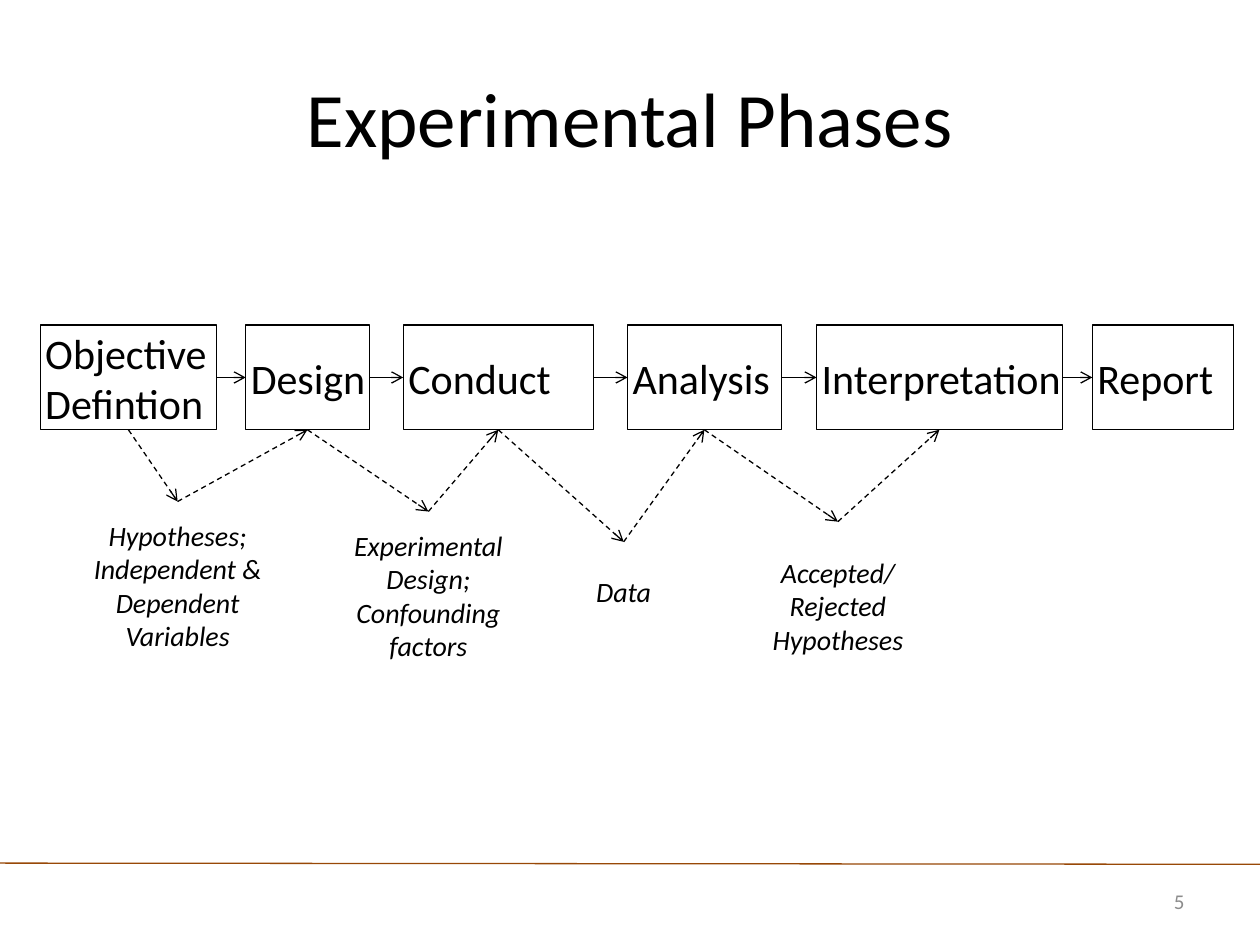
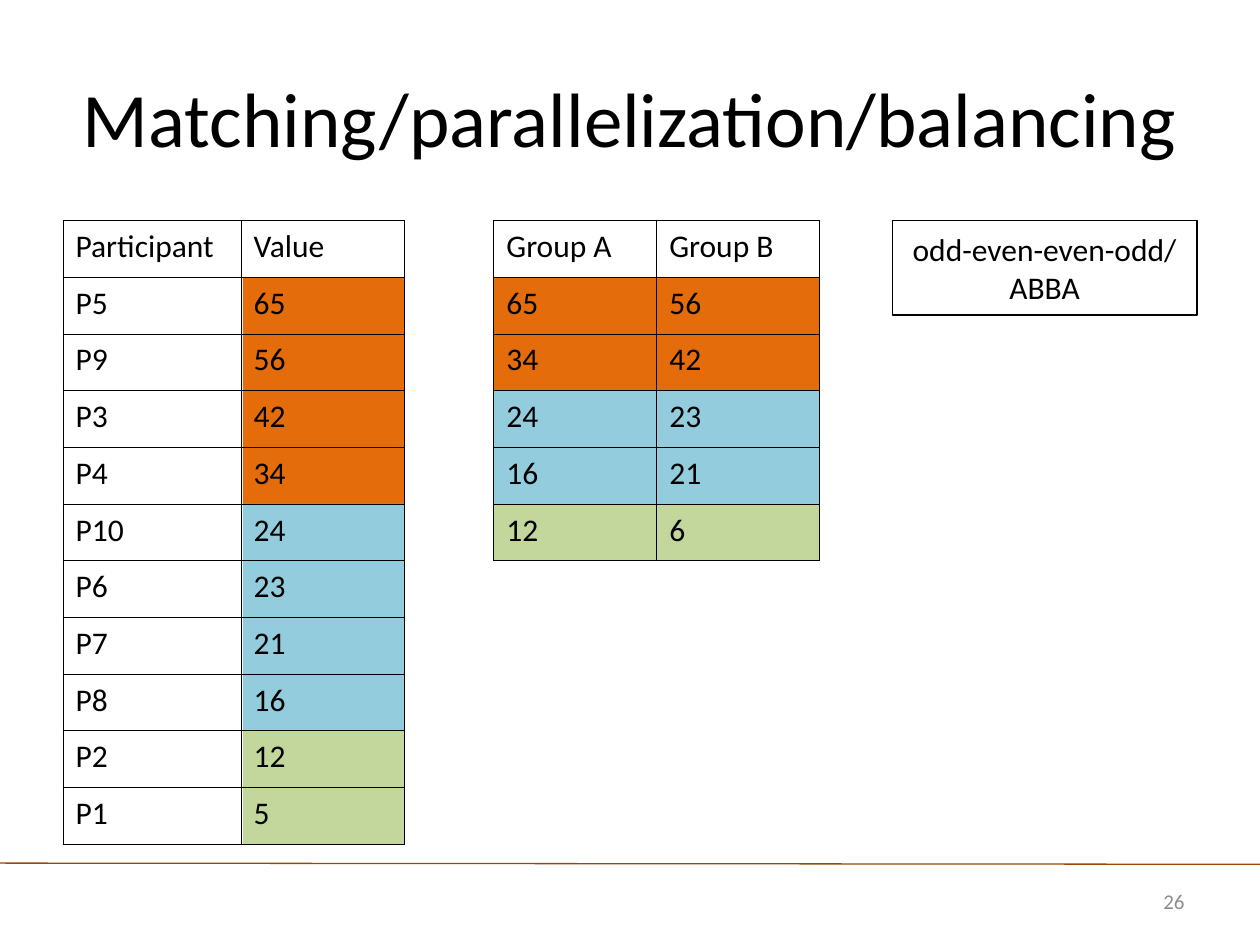
from itertools import pairwise
from lxml.etree import SubElement
from pptx import Presentation
from pptx.dml.color import RGBColor
from pptx.enum.dml import MSO_LINE_DASH_STYLE as Dash
from pptx.enum.shapes import MSO_CONNECTOR as Link, MSO_SHAPE as Shape
from pptx.enum.text import MSO_ANCHOR as Anchor, PP_ALIGN as Align
from pptx.oxml import parse_xml
from pptx.oxml.ns import nsdecls, qn
from pptx.util import Pt

FONT = "Calibri"
BLACK = RGBColor(0x00, 0x00, 0x00)
WHITE = RGBColor(0xFF, 0xFF, 0xFF)
GREY = RGBColor(0x8C, 0x8C, 0x8C)
BROWN = RGBColor(0x98, 0x48, 0x07)
ORANGE = RGBColor(0xE4, 0x6C, 0x0A)
BLUE = RGBColor(0x93, 0xCD, 0xDD)
GREEN = RGBColor(0xC3, 0xD6, 0x9B)

THIN = 0.75
INSET = (7.2, 3.6, 7.2, 3.6)
ROW = 32.4
TABLE_TOP = 126
BOX_TOP, BOX_HIGH = 185.8, 59.8

# Name, left, width
PHASES = [
    ("Objective Defintion", 23, 100.8),
    ("Design", 140.4, 70.6),
    ("Conduct", 230.4, 108.7),
    ("Analysis", 358.6, 87.8),
    ("Interpretation", 466.6, 140.4),
    ("Report", 624.2, 80.6),
]
# Text, centre, top, width, height
NOTES = [
    ("Hypotheses; Independent & Dependent Variables", 101.5, 286.6, 135.4, 95.8),
    ("Experimental Design;\nConfounding factors", 244.8, 292.3, 118, 95.8),
    ("Data", 356.4, 309.6, 72, 56.2),
    ("Accepted/ Rejected Hypotheses", 478.8, 298.1, 113.8, 95.8),
]
VALUES = [
    ("Participant", "Value"), ("P5", "65"), ("P9", "56"), ("P3", "42"),
    ("P4", "34"), ("P10", "24"), ("P6", "23"), ("P7", "21"), ("P8", "16"),
    ("P2", "12"), ("P1", "5"),
]
GROUPS = [
    ("Group A", "Group B"), ("65", "56"), ("34", "42"), ("24", "23"),
    ("16", "21"), ("12", "6"),
]


def write(frame, text, size=18, color=BLACK, align=Align.LEFT, italic=False,
          anchor=Anchor.MIDDLE, inset=INSET, space=1.0):
    """Fill a text frame, one paragraph for each line of text."""
    frame.word_wrap = True
    frame.vertical_anchor = anchor
    (frame.margin_left, frame.margin_top,
     frame.margin_right, frame.margin_bottom) = map(Pt, inset)
    for i, line in enumerate(text.split("\n")):
        para = frame.add_paragraph() if i else frame.paragraphs[0]
        para.alignment = align
        para.line_spacing = space
        run = para.add_run()
        run.text = line
        font = run.font
        font.name, font.size, font.italic = FONT, Pt(size), italic
        font.color.rgb = color


def add_text(slide, at, text, **form):
    box = slide.shapes.add_textbox(*map(Pt, at))
    write(box.text_frame, text, **form)


def add_box(slide, at, fill=None, line=None, text="", **form):
    box = slide.shapes.add_shape(Shape.RECTANGLE, *map(Pt, at))
    box.shadow.inherit = False
    if fill is None:
        box.fill.background()
    else:
        box.fill.solid()
        box.fill.fore_color.rgb = fill
    if line is None:
        box.line.fill.background()
    else:
        box.line.color.rgb = line
        box.line.width = Pt(THIN)
    if text:
        write(box.text_frame, text, **form)


def add_line(slide, start, end, color=BLACK, dash=False, arrow=True):
    line = slide.shapes.add_connector(Link.STRAIGHT, *map(Pt, start + end))
    line.line.color.rgb = color
    line.line.width = Pt(THIN)
    if dash:
        line.line.dash_style = Dash.DASH
    props = line._element.spPr
    if arrow:
        SubElement(props.find(qn("a:ln")), qn("a:tailEnd"), type="arrow")
    SubElement(props, qn("a:effectLst"))


def add_edges(cell):
    """Draw a thin black line on all four sides of a cell."""
    props = cell._tc.get_or_add_tcPr()
    for i, side in enumerate("LRTB"):
        props.insert(i, parse_xml(
            f'<a:ln{side} {nsdecls("a")} w="{Pt(0.45)}"><a:solidFill>'
            f'<a:srgbClr val="{BLACK}"/></a:solidFill></a:ln{side}>'))


def add_grid(slide, left, cols, rows):
    frame = slide.shapes.add_table(
        len(rows), len(cols), Pt(left), Pt(TABLE_TOP),
        Pt(sum(cols)), Pt(ROW * len(rows)))
    table = frame.table
    table.first_row = table.horz_banding = False
    for col, width in zip(table.columns, cols):
        col.width = Pt(width)
    for line, texts in zip(table.rows, rows):
        line.height = Pt(ROW)
        for cell, text in zip(line.cells, texts):
            cell.fill.background()
            add_edges(cell)
            write(cell.text_frame, text, space=1.02)
            cell.vertical_anchor = Anchor.TOP
            cell.margin_left = cell.margin_right = Pt(7.2)
            cell.margin_top = cell.margin_bottom = Pt(3.6)


def add_bands(slide, left, width, bands):
    """Stack colour bands, each some rows high, below a header row."""
    top = TABLE_TOP + ROW
    for color, count in bands:
        add_box(slide, (left, top, width, ROW * count), fill=color)
        top += ROW * count


def add_slide(deck, title, number):
    slide = deck.slides.add_slide(deck.slide_layouts[6])
    add_line(slide, (0, 493.2), (720, 493.9), color=BROWN, arrow=False)
    add_text(slide, (36, 21.6, 648, 90), title, size=44, align=Align.CENTER)
    add_text(slide, (618.5, 500.4, 65.5, 28.8), number, size=12, color=GREY,
             align=Align.RIGHT)
    return slide


def draw_phases(deck):
    slide = add_slide(deck, "Experimental Phases", "5")
    for name, left, width in PHASES:
        add_box(slide, (left, BOX_TOP, width, BOX_HIGH), line=BLACK, text=name,
                size=24, inset=(2.9, 0, 0, 0))
    middle = BOX_TOP + BOX_HIGH / 2
    for (_, left, width), (_, after, _) in pairwise(PHASES):
        add_line(slide, (left + width, middle), (after, middle))
    feet = [(left + width / 2, BOX_TOP + BOX_HIGH) for _, left, width in PHASES]
    for (text, mid, top, width, high), (foot, after) in zip(NOTES, pairwise(feet)):
        add_text(slide, (mid - width / 2, top, width, high), text, size=16,
                 italic=True, align=Align.CENTER)
        add_line(slide, foot, (mid, top), dash=True)
        add_line(slide, (mid, top), after, dash=True)


def draw_match(deck):
    slide = add_slide(deck, "Matching/parallelization/balancing", "26")
    add_bands(slide, 282.2, 186.2, [(ORANGE, 2), (BLUE, 2), (GREEN, 1)])
    add_bands(slide, 138.8, 92.4, [(ORANGE, 4), (BLUE, 4), (GREEN, 2)])
    add_grid(slide, 36, (101.8, 93.2), VALUES)
    add_grid(slide, 282.2, (93.1, 93.1), GROUPS)
    add_box(slide, (509.8, TABLE_TOP, 174.2, 54), fill=WHITE, line=BLACK,
            text="odd-even-even-odd/\nABBA", align=Align.CENTER)


def main():
    deck = Presentation()
    deck.slide_width, deck.slide_height = Pt(720), Pt(540)
    draw_phases(deck)
    draw_match(deck)
    deck.save("out.pptx")


if __name__ == "__main__":
    main()
